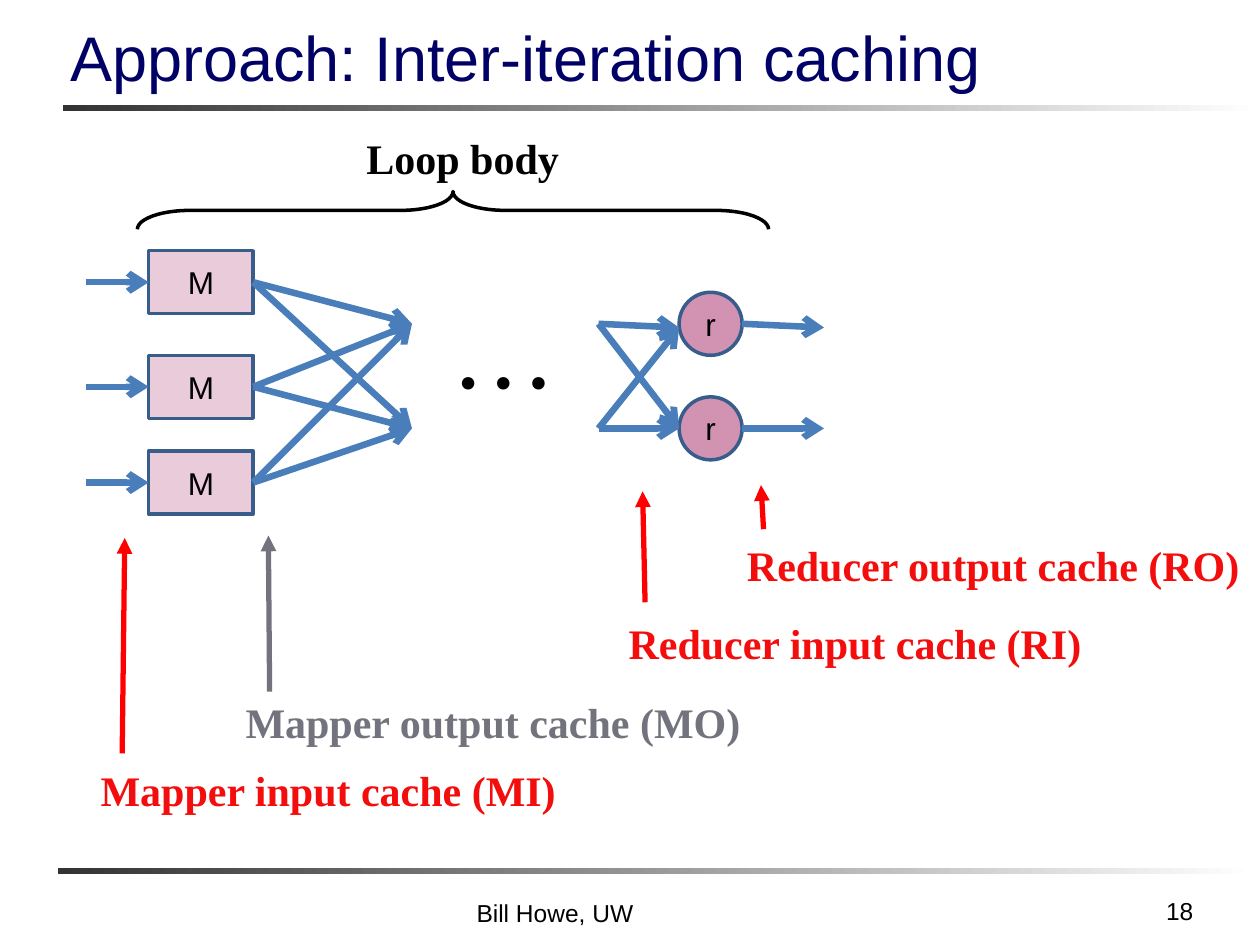
from dataclasses import dataclass

from lxml import etree
from pptx import Presentation
from pptx.dml.color import RGBColor as RGB
from pptx.enum.shapes import MSO_CONNECTOR, MSO_SHAPE as SHAPE
from pptx.enum.text import MSO_ANCHOR as ANCHOR, PP_ALIGN as ALIGN
from pptx.oxml.ns import qn
from pptx.util import Inches, Pt


@dataclass(frozen=True)
class Theme:
    sans: str = "Arial"
    serif: str = "Times New Roman"
    navy: RGB = RGB(0x00, 0x00, 0x66)
    black: RGB = RGB(0x00, 0x00, 0x00)
    white: RGB = RGB(0xFF, 0xFF, 0xFF)
    dark: RGB = RGB(0x33, 0x33, 0x33)
    red: RGB = RGB(0xFF, 0x00, 0x00)
    red_text: RGB = RGB(0xF3, 0x0D, 0x0D)
    gray: RGB = RGB(0x72, 0x73, 0x7D)
    pink: RGB = RGB(0xC4, 0x70, 0x9A)
    outline: RGB = RGB(0x38, 0x5D, 0x8A)
    flow: RGB = RGB(0x4A, 0x7E, 0xBB)
    title: int = 36
    label: int = 24
    node: int = 18
    footer: int = 14
    dots: int = 60


T = Theme()


def write(sp, text, size, color, font=T.sans, bold=False,
          align=ALIGN.LEFT, anchor=ANCHOR.TOP):
    tf = sp.text_frame
    tf.word_wrap = True
    tf.vertical_anchor = anchor
    p = tf.paragraphs[0]
    p.text = text
    p.alignment = align
    p.font.name, p.font.size, p.font.bold = font, Pt(size), bold
    p.font.color.rgb = color


def add_text(s, x, y, w, h, *args, **kwargs):
    sp = s.shapes.add_textbox(Inches(x), Inches(y), Inches(w), Inches(h))
    write(sp, *args, **kwargs)


def add_arrow(s, start, end, color, width, head):
    line = s.shapes.add_connector(
        MSO_CONNECTOR.STRAIGHT, *(Inches(v) for v in (*start, *end)))
    line.line.color.rgb = color
    line.line.width = Pt(width)
    etree.SubElement(line.line._get_or_add_ln(), qn("a:tailEnd"), type=head)
    etree.SubElement(line._element.spPr, qn("a:effectLst"))


def add_flow(s, start, end):
    add_arrow(s, start, end, T.flow, 3.75, "arrow")


def add_node(s, kind, x, y, w, h, text, opacity):
    sp = s.shapes.add_shape(kind, Inches(x), Inches(y), Inches(w), Inches(h))
    sp.shadow.inherit = False
    sp.fill.solid()
    sp.fill.fore_color.rgb = T.pink
    color = sp._element.spPr.find(qn("a:solidFill"))[0]
    etree.SubElement(color, qn("a:alpha"), val=str(opacity * 1000))
    sp.line.color.rgb = T.outline
    sp.line.width = Pt(2)
    write(sp, text, T.node, T.black, align=ALIGN.CENTER, anchor=ANCHOR.MIDDLE)


def add_rule(s, x, y, w, h=0.05):
    sp = s.shapes.add_shape(SHAPE.RECTANGLE, Inches(x), Inches(y), Inches(w), Inches(h))
    sp.shadow.inherit = False
    sp.fill.gradient()
    sp.fill.gradient_angle = 0
    for stop, color in zip(sp.fill.gradient_stops, (T.dark, T.white)):
        stop.color.rgb = color
    sp.line.fill.background()


def header(s, x, y, w, h):
    add_rule(s, x + 0.04, y + 0.62, 9.5)
    add_text(s, x, y, w, h, "Approach: Inter-iteration caching", T.title, T.navy,
             anchor=ANCHOR.BOTTOM)


def footer(s, x, y, w):
    add_rule(s, x, y, w)
    add_text(s, x + 2.04, y + 0.1, 3.81, 0.42, "Bill Howe, UW", T.footer, T.black,
             align=ALIGN.CENTER, anchor=ANCHOR.BOTTOM)
    add_text(s, x + 8.04, y + 0.08, 1.07, 0.42, "18", T.footer, T.black,
             align=ALIGN.RIGHT, anchor=ANCHOR.BOTTOM)


def loop_brace(s, x, y, w, h):
    # A left brace turned a quarter, so its tip points up
    sp = s.shapes.add_shape(SHAPE.LEFT_BRACE, Inches(x + (w - h) / 2),
                            Inches(y + (h - w) / 2), Inches(h), Inches(w))
    sp.rotation = 90
    sp.adjustments[0] = 1.39
    sp.shadow.inherit = False
    sp.fill.background()
    sp.line.color.rgb = T.black
    sp.line.width = Pt(2)
    add_text(s, x + 1.72, y - 0.52, 2.06, 0.5, "Loop body", T.label, T.black,
             font=T.serif, bold=True)


def mappers(s, x, y):
    w, h, stub, reach = 0.83, 0.5, 0.5, 1.26
    outputs = (y + 0.58, y + 1.41)
    for dy in (0, 0.83, 1.59):
        add_node(s, SHAPE.FLOWCHART_PROCESS, x, y + dy, w, h, "M", 36)
        mid = y + dy + h / 2
        add_flow(s, (x - stub, mid), (x, mid))
        for out in outputs:
            add_flow(s, (x + w, mid), (x + w + reach, out))


def reducers(s, x, y):
    d, reach, stub, pitch = 0.5, 0.64, 0.65, 0.83
    tops = (y, y + pitch)
    for top in tops:
        add_node(s, SHAPE.FLOWCHART_CONNECTOR, x, top, d, d, "r", 75)
    # Each source feeds both reducers
    entries = (y + 0.28, y + pitch + 0.25)
    for top in tops:
        for entry in entries:
            add_flow(s, (x - reach, top + d / 2), (x, entry))
    for top, entry in zip(tops, entries):
        add_flow(s, (x + d, top + d / 2), (x + d + stub, entry))


def cache_label(s, x, y, w, text, color, arrow_color, start, end):
    """Label at (x, y); its arrow is given as offsets from that corner."""
    add_text(s, x, y, w, 0.5, text, T.label, color, font=T.serif, bold=True)
    add_arrow(s, *((x + dx, y + dy) for dx, dy in (start, end)),
              arrow_color, 3, "triangle")


def main():
    prs = Presentation()
    prs.slide_width, prs.slide_height = Inches(10), Inches(7.5)
    s = prs.slides.add_slide(prs.slide_layouts[6])

    header(s, 0.46, 0.21, 9.24, 0.59)

    # Caches: left, top, width, text, colours, arrow start and end
    caches = (
        (0.7, 6.02, 4.12, "Mapper input cache (MI)", T.red_text, T.red,
         (0.27, -0.04), (0.29, -1.75)),
        (1.85, 5.48, 4.58, "Mapper output cache (MO)", T.gray, T.gray,
         (0.29, 0.01), (0.28, -1.23)),
        (4.89, 4.85, 4.58, "Reducer input cache (RI)", T.red_text, T.red,
         (0.23, -0.07), (0.21, -0.95)),
        (5.83, 4.23, 4.17, "Reducer output cache (RO)", T.red_text, T.red,
         (0.23, -0.03), (0.21, -0.38)),
    )
    for cache in caches:
        cache_label(s, *cache)

    # Loop body
    mappers(s, 1.18, 1.99)
    reducers(s, 5.39, 2.32)
    add_text(s, 3.48, 2.2, 1.16, 1.1, "…", T.dots, T.black, font=T.serif)
    loop_brace(s, 1.09, 1.52, 5.01, 0.3)

    footer(s, 0.46, 6.89, 9.5)
    prs.save("out.pptx")


if __name__ == "__main__":
    main()
